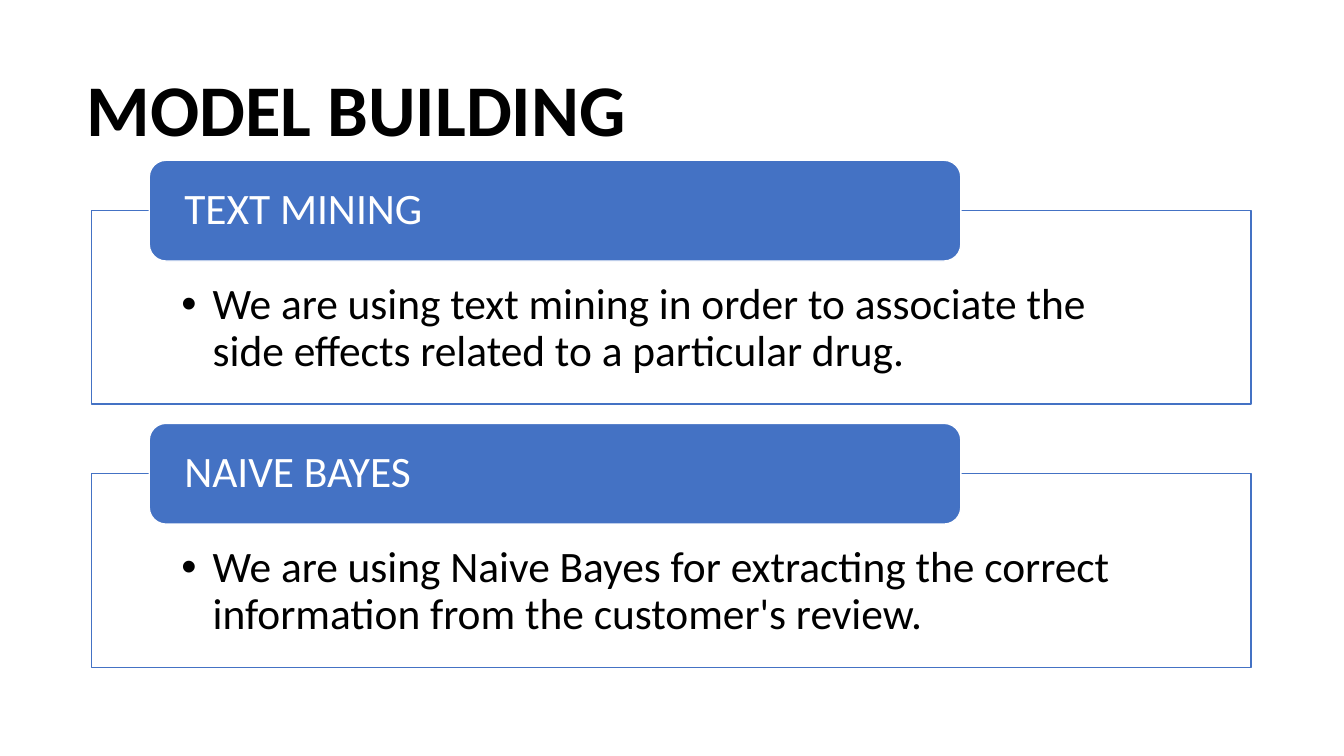
from lxml.etree import SubElement
from pptx import Presentation
from pptx.dml.color import RGBColor
from pptx.enum.shapes import MSO_SHAPE
from pptx.enum.text import MSO_ANCHOR, PP_ALIGN
from pptx.oxml.ns import qn
from pptx.util import Inches, Pt

COLORS = {"ink": "000000", "paper": "FFFFFF", "blue": "4472C4"}


class Deck:
    """Hold the style and the current slide, and draw each kind of element."""

    font = "Calibri"
    size = 31

    def __init__(self):
        self.file = Presentation()
        self.file.slide_width = Inches(13.33)
        self.file.slide_height = Inches(7.5)
        self.slide = self.file.slides.add_slide(self.file.slide_layouts[6])

    def color(self, name):
        return RGBColor.from_string(COLORS[name])

    def text(self, shape, words, color, anchor, inset, size=size, bold=False):
        frame = shape.text_frame
        sides = ("margin_left", "margin_top", "margin_right", "margin_bottom")
        form = dict(zip(sides, map(Inches, inset)))
        form.update(word_wrap=True, vertical_anchor=anchor)
        for key, value in form.items():
            setattr(frame, key, value)
        para = frame.paragraphs[0]
        para.alignment = PP_ALIGN.LEFT
        para.line_spacing = 0.9
        run = para.add_run()
        run.text = words
        for key, value in {"name": self.font, "size": Pt(size), "bold": bold}.items():
            setattr(run.font, key, value)
        run.font.color.rgb = self.color(color)
        return para

    def shape(self, kind, box, fill, line):
        shape = self.slide.shapes.add_shape(kind, *map(Inches, box))
        shape.shadow.inherit = False
        shape.fill.solid()
        shape.fill.fore_color.rgb = self.color(fill)
        shape.line.color.rgb = self.color(line)
        shape.line.width = Pt(1)
        return shape

    def title(self, words, box):
        shape = self.slide.shapes.add_textbox(*map(Inches, box))
        inset = (0.1, 0.05, 0.1, 0.05)
        self.text(shape, words, "ink", MSO_ANCHOR.BOTTOM, inset, 52, True)

    def panel(self, words, box):
        shape = self.shape(MSO_SHAPE.RECTANGLE, box, "paper", "blue")
        tint = shape.element.spPr.find(".//" + qn("a:srgbClr"))
        SubElement(tint, qn("a:alpha"), val="90000")
        inset = (0.89, 0.71, 0.89, 0.24)
        para = self.text(shape, words, "ink", MSO_ANCHOR.TOP, inset)
        props = para._p.get_or_add_pPr()
        props.set("marL", str(Inches(0.31)))
        props.set("indent", str(Inches(-0.31)))
        SubElement(props, qn("a:buFont"), typeface="Arial")
        SubElement(props, qn("a:buChar"), char="•")

    def label(self, words, box):
        shape = self.shape(MSO_SHAPE.ROUNDED_RECTANGLE, box, "blue", "paper")
        self.text(shape, words, "paper", MSO_ANCHOR.MIDDLE, (0.3, 0, 0.3, 0))


def main():
    deck = Deck()
    deck.title("MODEL BUILDING", (0.76, 0.29, 11.5, 1.27))
    topics = {
        "TEXT MINING": "We are using text mining in order to associate "
                       "the side effects related to a particular drug.",
        "NAIVE BAYES": "We are using Naive Bayes for extracting the correct "
                       "information from the customer's review.",
    }
    for row, (head, body) in enumerate(topics.items()):
        top = 1.59 + 2.61 * row
        deck.panel(body, (0.91, top + 0.5, 11.5, 1.92))
        deck.label(head, (1.48, top, 8.05, 1))
    deck.file.save("out.pptx")


if __name__ == "__main__":
    main()
